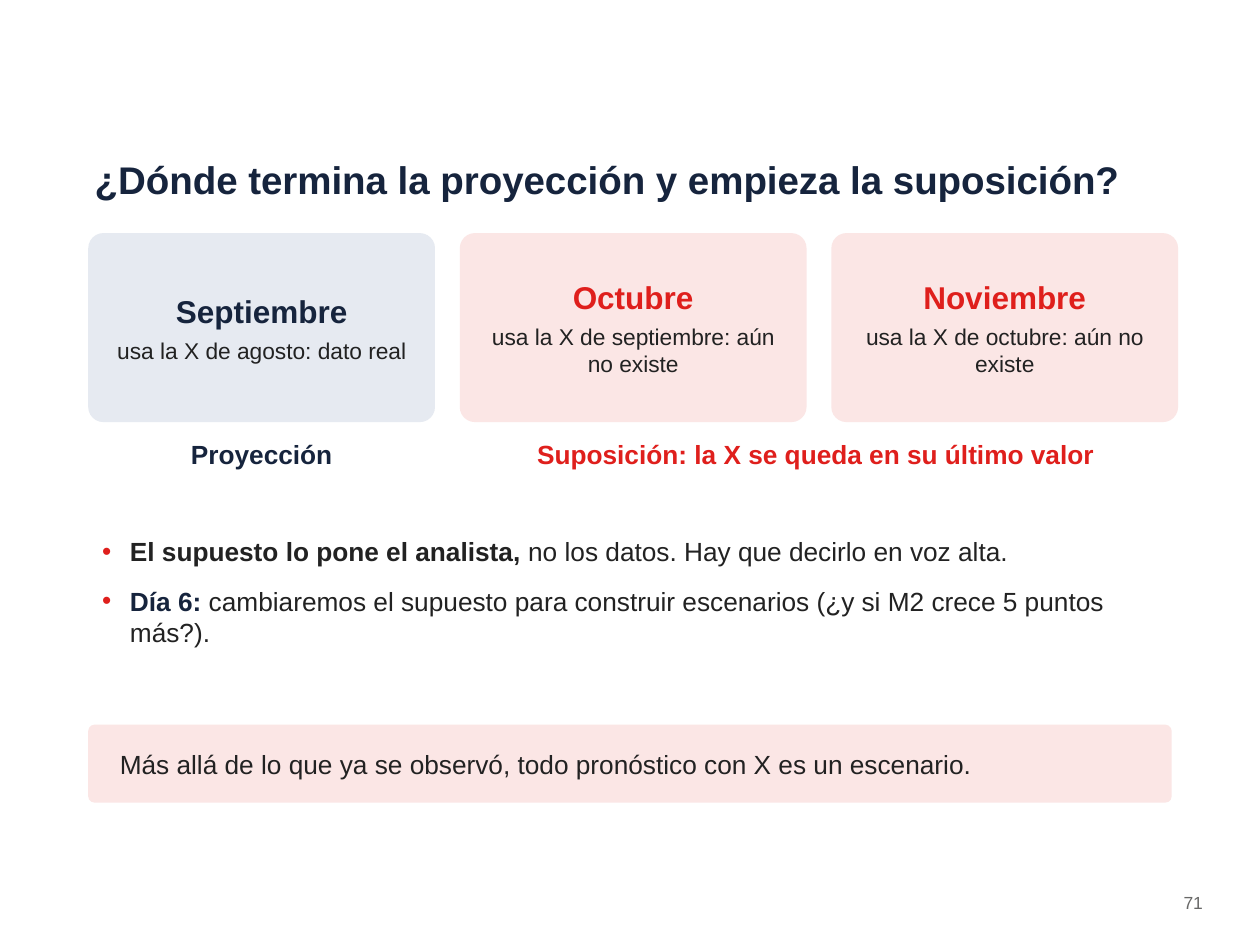
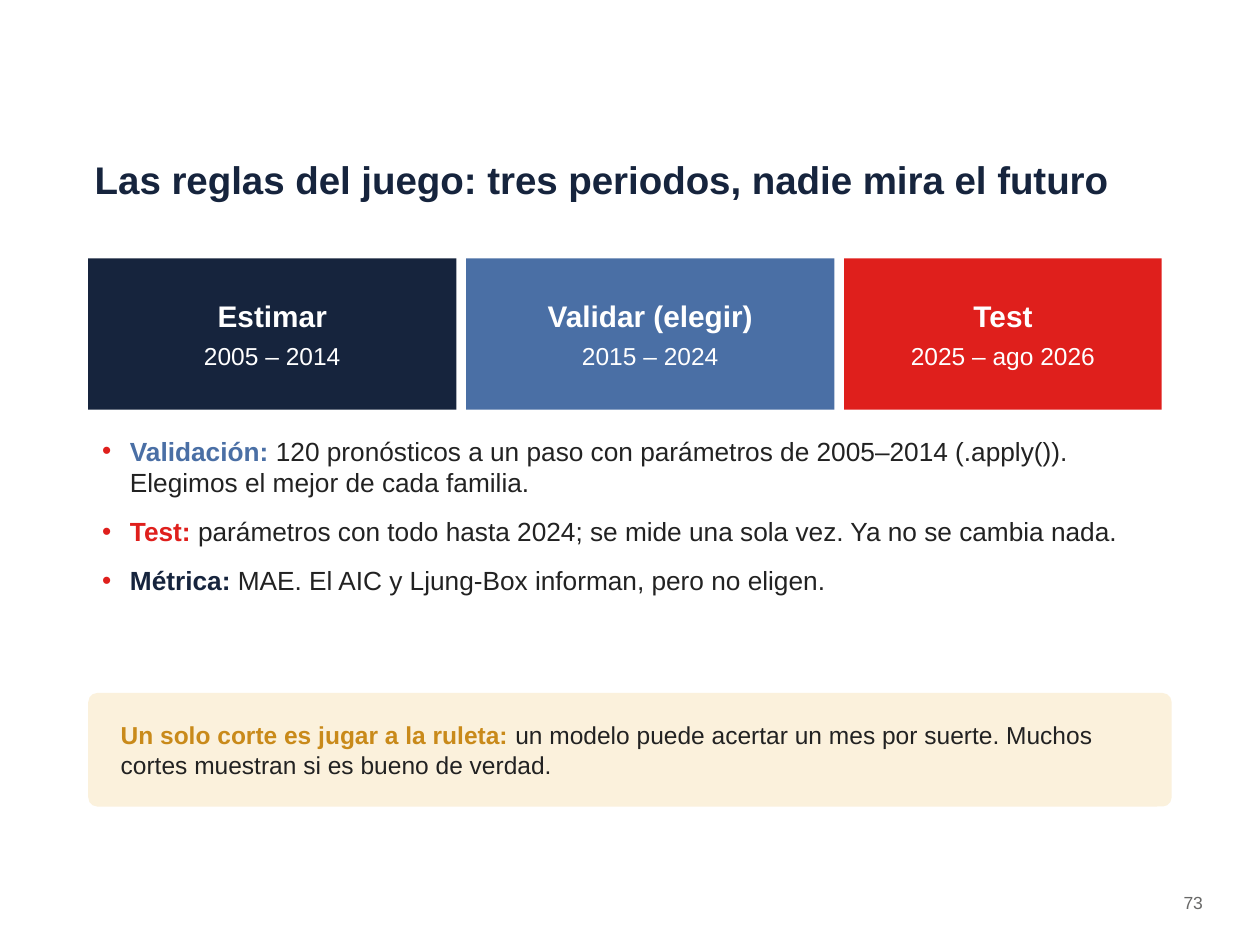
from lxml.etree import SubElement
from pptx import Presentation
from pptx.dml.color import RGBColor
from pptx.enum.shapes import MSO_SHAPE
from pptx.enum.text import MSO_ANCHOR, MSO_AUTO_SIZE, PP_ALIGN
from pptx.oxml.ns import qn
from pptx.util import Cm, Pt

# Content: a paragraph is a list of (text, style) runs
TITLES = ["¿Dónde termina la proyección y empieza la suposición?",
          "Las reglas del juego: tres periodos, nadie mira el futuro"]
PAGES = ["71", "73"]

MONTHS = [  # name, data used, fill, name colour
    ("Septiembre", "usa la X de agosto: dato real", "pale_blue", "navy"),
    ("Octubre", "usa la X de septiembre: aún no existe", "pale_red", "red"),
    ("Noviembre", "usa la X de octubre: aún no existe", "pale_red", "red"),
]
MONTH_LABELS = [  # text, colour, first column, width
    ("Proyección", "navy", 0, 6.99),
    ("Suposición: la X se queda en su último valor", "red", 1, 14.35),
]
ASSUMPTIONS = [
    ("El supuesto lo pone el analista, ", "ink",
     "no los datos. Hay que decirlo en voz alta."),
    ("Día 6: ", "navy",
     "cambiaremos el supuesto para construir escenarios (¿y si M2 crece 5 puntos más?)."),
]
SCENARIO = [("Más allá de lo que ya se observó, todo pronóstico con X es un escenario.",
             15, "ink", False)]

PERIODS = [  # name, years, fill, width
    ("Estimar", "2005 – 2014", "navy", 7.42),
    ("Validar (elegir)", "2015 – 2024", "blue", 7.42),
    ("Test", "2025 – ago 2026", "red", 6.4),
]
RULES = [
    ("Validación: ", "blue",
     "120 pronósticos a un paso con parámetros de 2005–2014 (.apply()). "
     "Elegimos el mejor de cada familia."),
    ("Test: ", "red",
     "parámetros con todo hasta 2024; se mide una sola vez. Ya no se cambia nada."),
    ("Métrica: ", "navy", "MAE. El AIC y Ljung-Box informan, pero no eligen."),
]
ROULETTE = [
    ("Un solo corte es jugar a la ruleta: ", 14, "gold", True),
    ("un modelo puede acertar un mes por suerte. "
     "Muchos cortes muestran si es bueno de verdad.", 14, "ink", False),
]

# Shared look
COLORS = {"navy": "16243D", "blue": "4A6FA5", "red": "DF1F1C", "gold": "C98A1A",
          "ink": "222222", "grey": "686867", "white": "FFFFFF",
          "pale_blue": "E6EAF1", "pale_red": "FBE6E5", "pale_gold": "FBF1DC"}
FONT = "Arial"
LEFT, WIDTH = 1.78, 21.84
PAD_X, PAD_Y = 0.13, 0.08
CARD_W, CARD_GAP, PERIOD_GAP = 6.99, 0.5, 0.2


def rgb(name):
    return RGBColor.from_string(COLORS[name])


def put(obj, **values):
    for name, value in values.items():
        setattr(obj, name, value)


def write(sp, paragraphs, align=PP_ALIGN.LEFT, anchor=MSO_ANCHOR.MIDDLE,
          pad_x=PAD_X, pad_y=PAD_Y, after=4):
    """Fill a shape with paragraphs of (text, size, colour, bold) runs."""
    tf = sp.text_frame
    put(tf, word_wrap=True, auto_size=MSO_AUTO_SIZE.NONE, vertical_anchor=anchor,
        margin_left=Cm(pad_x), margin_right=Cm(pad_x),
        margin_top=Cm(pad_y), margin_bottom=Cm(pad_y))
    for i, runs in enumerate(paragraphs):
        p = tf.add_paragraph() if i else tf.paragraphs[0]
        put(p, alignment=align, space_before=Pt(0), space_after=Pt(after))
        for text, size, color, bold in runs:
            r = p.add_run()
            r.text = text
            put(r.font, name=FONT, size=Pt(size), bold=bold)
            r.font.color.rgb = rgb(color)


def place(sp, x, y, w, h):
    put(sp, left=Cm(x), top=Cm(y), width=Cm(w), height=Cm(h))


def add_text(s, box, paragraphs, **fmt):
    write(s.shapes.add_textbox(*map(Cm, box)), paragraphs,
          anchor=MSO_ANCHOR.TOP, **fmt)


def add_panel(s, kind, box, fill, paragraphs, **fmt):
    sp = s.shapes.add_shape(kind, *map(Cm, box))
    sp.shadow.inherit = False
    sp.fill.solid()
    sp.fill.fore_color.rgb = rgb(fill)
    sp.line.fill.background()
    if kind == MSO_SHAPE.ROUNDED_RECTANGLE:
        sp.adjustments[0] = 0.08
    write(sp, paragraphs, **fmt)


def add_callout(s, y, h, fill, runs):
    add_panel(s, MSO_SHAPE.ROUNDED_RECTANGLE, (LEFT, y, WIDTH, h), fill, [runs],
              pad_x=0.6)


def fill_list(s, y, h, items):
    sp = s.placeholders[1]
    place(sp, LEFT, y, WIDTH, h)
    write(sp, [[(lead, 15, color, True), (rest, 15, "ink", False)]
               for lead, color, rest in items],
          anchor=MSO_ANCHOR.TOP, pad_y=PAD_X, after=10)
    for p in sp.text_frame.paragraphs:
        pPr = p._p.get_or_add_pPr()
        pPr.set("marL", str(Cm(0.71)))
        pPr.set("indent", str(-Cm(0.56)))
        SubElement(SubElement(pPr, qn("a:buClr")), qn("a:srgbClr"), val=COLORS["red"])
        SubElement(pPr, qn("a:buFont"), typeface=FONT)
        SubElement(pPr, qn("a:buChar"), char="•")


def add_slide(prs, title, page):
    s = prs.slides.add_slide(prs.slide_layouts[1])
    place(s.shapes.title, LEFT, 2.67, WIDTH, 1.9)
    write(s.shapes.title, [[(title, 22, "navy", True)]])
    add_text(s, (22.86, 17.91, 1.52, 0.76), [[(page, 10, "grey", False)]],
             align=PP_ALIGN.RIGHT)
    return s


def build_projection(s):
    # Month cards, with a label under each group
    columns = [LEFT + i * (CARD_W + CARD_GAP) for i in range(len(MONTHS))]
    for x, (month, source, fill, color) in zip(columns, MONTHS):
        add_panel(s, MSO_SHAPE.ROUNDED_RECTANGLE, (x, 4.7, CARD_W, 3.81), fill,
                  [[(month, 18, color, True)], [(source, 13, "ink", False)]],
                  align=PP_ALIGN.CENTER, pad_x=0.29)
    for text, color, column, w in MONTH_LABELS:
        add_text(s, (columns[column], 8.76, w, 1.02), [[(text, 15, color, True)]],
                 align=PP_ALIGN.CENTER)
    fill_list(s, 10.67, 3.05, ASSUMPTIONS)
    add_callout(s, 14.61, 1.57, "pale_red", SCENARIO)


def build_rules(s):
    # Timeline of periods
    x = LEFT
    for name, years, fill, w in PERIODS:
        add_panel(s, MSO_SHAPE.RECTANGLE, (x, 5.21, w, 3.05), fill,
                  [[(name, 17, "white", True)], [(years, 14, "white", False)]],
                  align=PP_ALIGN.CENTER)
        x += w + PERIOD_GAP
    fill_list(s, 8.64, 4.83, RULES)
    add_callout(s, 13.97, 2.29, "pale_gold", ROULETTE)


def main():
    prs = Presentation()
    put(prs, slide_width=Cm(25.4), slide_height=Cm(19.05))
    for title, page, build in zip(TITLES, PAGES, (build_projection, build_rules)):
        build(add_slide(prs, title, page))
    prs.save("out.pptx")


if __name__ == "__main__":
    main()
